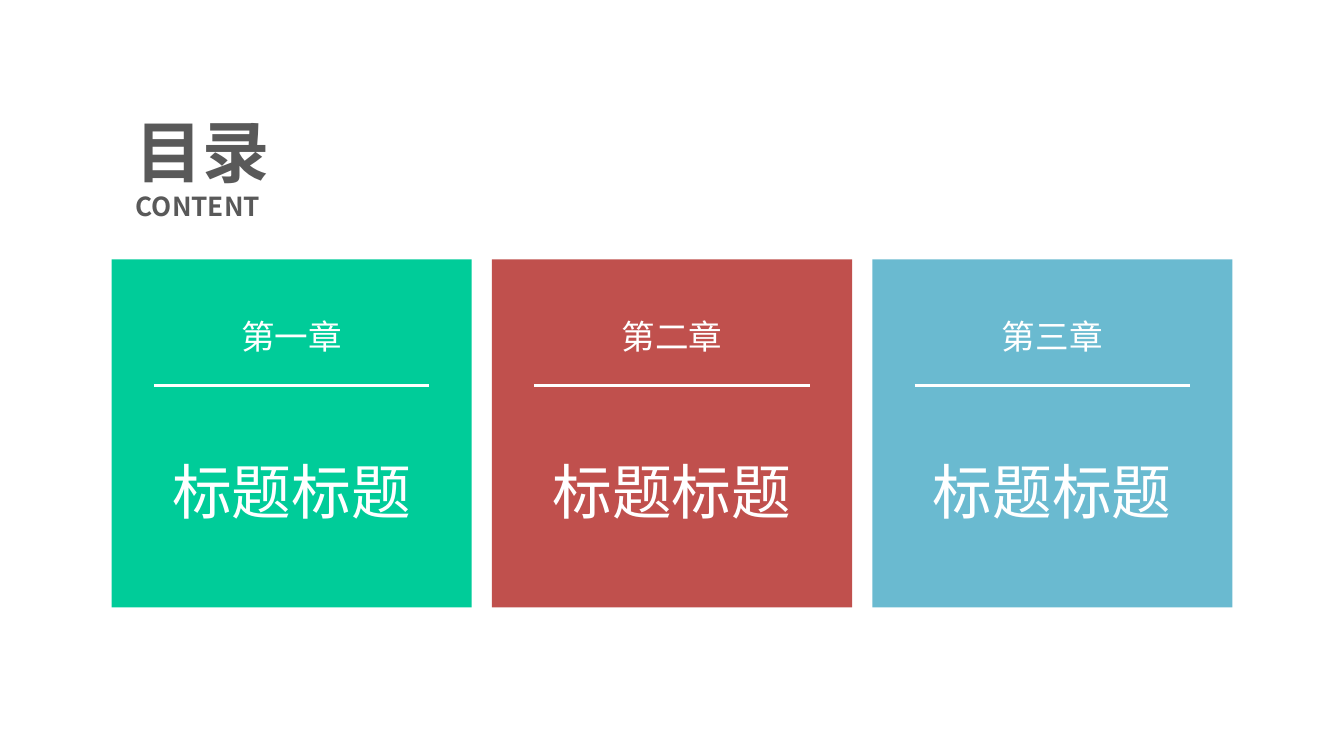
from lxml.etree import SubElement
from pptx import Presentation
from pptx.dml.color import RGBColor
from pptx.enum.shapes import MSO_CONNECTOR as Connector, MSO_SHAPE as Shape
from pptx.enum.text import MSO_ANCHOR as Anchor, MSO_AUTO_SIZE as AutoSize, PP_ALIGN as Align
from pptx.oxml.ns import qn
from pptx.util import Inches, Pt

# Grid in inches: a 16:9 page with three equal cards, centred across it
PAGE_WIDTH = 10
PAGE_HEIGHT = PAGE_WIDTH * 9 / 16
CARD_TOP, CARD_WIDTH, CARD_HEIGHT, GAP = 1.93, 2.68, 2.59, 0.15
FONT = "Noto Sans CJK SC"
GREY, WHITE = "595959", "FFFFFF"
CHAPTERS = [
    ("第一章", "标题标题", "00CC99"),
    ("第二章", "标题标题", "C0504D"),
    ("第三章", "标题标题", "6ABAD0"),
]


def paint(color_format, color):
    color_format.rgb = RGBColor.from_string(color)


def add_span(para, text, size, color, bold=False):
    span = para.add_run()
    span.text = text
    font = span.font
    font.size, font.bold, font.name = Pt(size), bold, FONT
    font.fill.solid()
    paint(font.fill.fore_color, color)
    SubElement(font._element, qn("a:ea")).set("typeface", FONT)


def add_heading(page):
    title = page.shapes.title
    title.left, title.top = Inches(0.91), Inches(0.77)
    title.width, title.height = Inches(2.76), Inches(0.94)
    frame = title.text_frame
    frame.auto_size = AutoSize.NONE
    frame.vertical_anchor = Anchor.TOP
    lines = [("目录", 36, 43), ("CONTENT", 14, 17)]
    for index, (text, size, spacing) in enumerate(lines):
        para = frame.add_paragraph() if index else frame.paragraphs[0]
        para.alignment = Align.LEFT
        para.line_spacing = Pt(spacing)
        para.space_before = Pt(0)
        add_span(para, text, size, GREY, bold=True)


def add_label(card, text, size, center, top, width, height):
    box = card.shapes.add_textbox(
        Inches(center - width / 2), Inches(top), Inches(width), Inches(height))
    frame = box.text_frame
    frame.word_wrap = True
    frame.vertical_anchor = Anchor.MIDDLE
    para = frame.paragraphs[0]
    para.alignment = Align.CENTER
    add_span(para, text, size, WHITE)


def add_rule(card, center, top, width):
    left, right = Inches(center - width / 2), Inches(center + width / 2)
    rule = card.shapes.add_connector(
        Connector.STRAIGHT, left, Inches(top), right, Inches(top))
    rule.line.width = Pt(1.5)
    rule.line.fill.solid()
    paint(rule.line.fill.fore_color, WHITE)
    SubElement(rule._element.spPr, qn("a:effectLst"))


def add_card(page, left, chapter, heading, color):
    card = page.shapes.add_group_shape()
    panel = card.shapes.add_shape(
        Shape.RECTANGLE, Inches(left), Inches(CARD_TOP),
        Inches(CARD_WIDTH), Inches(CARD_HEIGHT))
    panel.shadow.inherit = False
    panel.fill.solid()
    paint(panel.fill.fore_color, color)
    panel.line.fill.background()

    center = left + CARD_WIDTH / 2
    add_rule(card, center, CARD_TOP + 0.94, 2.05)
    add_label(card, heading, 32, center, CARD_TOP + 1.4, 2.13, 0.64)
    add_label(card, chapter, 18, center, CARD_TOP + 0.37, 1.49, 0.4)


def main():
    deck = Presentation()
    deck.slide_width, deck.slide_height = Inches(PAGE_WIDTH), Inches(PAGE_HEIGHT)
    page = deck.slides.add_slide(deck.slide_layouts[5])

    # Heading
    add_heading(page)

    # Chapter cards
    count = len(CHAPTERS)
    margin = (PAGE_WIDTH - count * CARD_WIDTH - (count - 1) * GAP) / 2
    for column, (chapter, heading, color) in enumerate(CHAPTERS):
        add_card(page, margin + column * (CARD_WIDTH + GAP), chapter, heading, color)

    deck.save("out.pptx")


main()
